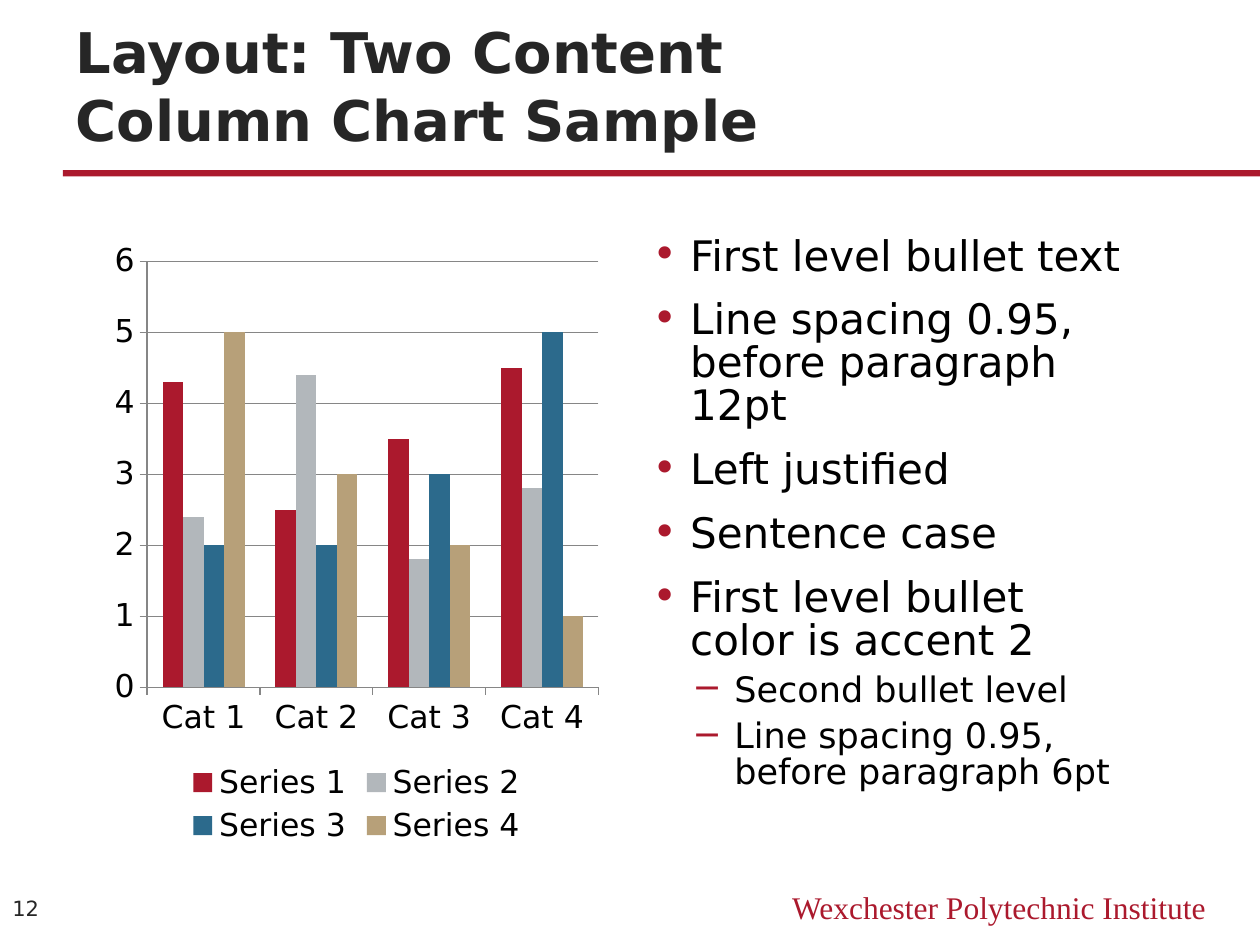
"""Build a two-content slide with a column chart and a bulleted list."""
from dataclasses import dataclass

import lxml.etree
import pptx
import pptx.chart.data
import pptx.dml.color
import pptx.enum.chart
import pptx.enum.shapes
import pptx.enum.text
import pptx.oxml.ns
import pptx.util
from pptx.util import Inches

COLORS = {
    "red": "AB192D",
    "gray": "B2B7BB",
    "blue": "2C6A8C",
    "tan": "B7A079",
    "dark": "262626",
    "black": "000000",
    "grid": "868686",
}
SANS = "DejaVu Sans"
SERIF = "Times New Roman"


@dataclass
class Series:
    name: str
    values: tuple[float, ...]
    color: str


@dataclass
class Level:
    char: str
    size: int
    indent: float
    before: int


@dataclass
class Bullet:
    text: str
    level: int = 0


CATEGORIES = ("Cat 1", "Cat 2", "Cat 3", "Cat 4")
SERIES = (
    Series("Series 1", (4.3, 2.5, 3.5, 4.5), "red"),
    Series("Series 2", (2.4, 4.4, 1.8, 2.8), "gray"),
    Series("Series 3", (2, 2, 3, 5), "blue"),
    Series("Series 4", (5, 3, 2, 1), "tan"),
)
LEVELS = (Level("•", 24, 0.3, 12), Level("─", 20, 0.65, 6))
BULLETS = (
    Bullet("First level bullet text"),
    Bullet("Line spacing 0.95, before paragraph 12pt"),
    Bullet("Left justified"),
    Bullet("Sentence case"),
    Bullet("First level bullet color is accent 2"),
    Bullet("Second bullet level", 1),
    Bullet("Line spacing 0.95, before paragraph 6pt", 1),
)


def rgb(name: str) -> pptx.dml.color.RGBColor:
    return pptx.dml.color.RGBColor.from_string(COLORS[name])


def style(font, size: int, color: str, name: str = SANS, bold: bool = False) -> None:
    font.size = pptx.util.Pt(size)
    font.name = name
    font.bold = bold
    font.color.rgb = rgb(color)


def place(sp, left: float, top: float, width: float, height: float) -> None:
    sp.left, sp.top = Inches(left), Inches(top)
    sp.width, sp.height = Inches(width), Inches(height)


def add_text(s, text: str, box: tuple[float, ...], size: int, color: str, name: str = SANS):
    sp = s.shapes.add_textbox(*map(Inches, box))
    tf = sp.text_frame
    tf.word_wrap = True
    tf.text = text
    style(tf.paragraphs[0].runs[0].font, size, color, name)
    return tf


def add_title(s, text: str) -> None:
    sp = s.shapes.title
    place(sp, 0.5, 0.38, 9, 0.88)
    tf = sp.text_frame
    tf.text = text
    tf.auto_size = pptx.enum.text.MSO_AUTO_SIZE.NONE
    tf.vertical_anchor = pptx.enum.text.MSO_ANCHOR.BOTTOM
    p = tf.paragraphs[0]
    p.alignment = pptx.enum.text.PP_ALIGN.LEFT
    for r in p.runs:
        style(r.font, 32, "dark", bold=True)


def add_rule(s) -> None:
    sp = s.shapes.add_shape(
        pptx.enum.shapes.MSO_SHAPE.RECTANGLE,
        Inches(0.5), Inches(1.35), Inches(9.5), Inches(0.05),
    )
    sp.shadow.inherit = False
    sp.fill.solid()
    sp.fill.fore_color.rgb = rgb("red")
    sp.line.fill.background()


def add_column_chart(s) -> None:
    data = pptx.chart.data.CategoryChartData()
    data.categories = CATEGORIES
    for item in SERIES:
        data.add_series(item.name, item.values)
    chart = s.shapes.add_chart(
        pptx.enum.chart.XL_CHART_TYPE.COLUMN_CLUSTERED,
        Inches(0.83), Inches(1.83), Inches(4), Inches(4.92), data,
    ).chart
    style(chart.font, 18, "black")
    chart.has_title = False
    chart.has_legend = True
    chart.legend.position = pptx.enum.chart.XL_LEGEND_POSITION.BOTTOM
    chart.legend.include_in_layout = False
    plot = chart.plots[0]
    plot.gap_width = 150
    plot.vary_by_categories = False
    for series, item in zip(plot.series, SERIES):
        series.format.fill.solid()
        series.format.fill.fore_color.rgb = rgb(item.color)
    axes = chart.category_axis, chart.value_axis
    for axis in axes:
        axis.major_tick_mark = pptx.enum.chart.XL_TICK_MARK.OUTSIDE
    chart.value_axis.has_major_gridlines = True
    for part in (*axes, chart.value_axis.major_gridlines):
        part.format.line.color.rgb = rgb("grid")


def set_bullet(p, level: Level) -> None:
    pPr = p._p.get_or_add_pPr()
    pPr.set("marL", str(Inches(level.indent)))
    pPr.set("indent", str(Inches(-0.3)))
    qn = pptx.oxml.ns.qn
    color = lxml.etree.SubElement(pPr, qn("a:buClr"))
    lxml.etree.SubElement(color, qn("a:srgbClr"), val=COLORS["red"])
    lxml.etree.SubElement(pPr, qn("a:buFont"), typeface=SANS)
    lxml.etree.SubElement(pPr, qn("a:buChar"), char=level.char)


def add_bullets(s) -> None:
    sp = s.shapes.add_textbox(Inches(5.08), Inches(1.83), Inches(4), Inches(4.92))
    tf = sp.text_frame
    tf.word_wrap = True
    for i, bullet in enumerate(BULLETS):
        level = LEVELS[bullet.level]
        p = tf.add_paragraph() if i else tf.paragraphs[0]
        p.text = bullet.text
        p.level = bullet.level
        p.line_spacing = 0.85
        p.space_before = pptx.util.Pt(level.before)
        set_bullet(p, level)
        style(p.runs[0].font, level.size, "black")


def main() -> None:
    prs = pptx.Presentation()
    prs.slide_width, prs.slide_height = Inches(10), Inches(7.5)
    s = prs.slides.add_slide(prs.slide_layouts[5])
    add_rule(s)
    tf = add_text(s, "Wexchester Polytechnic Institute", (6, 7, 3.67, 0.4), 18, "red", SERIF)
    tf.paragraphs[0].alignment = pptx.enum.text.PP_ALIGN.RIGHT
    add_title(s, "Layout: Two Content\vColumn Chart Sample")
    add_column_chart(s)
    add_bullets(s)
    tf = add_text(s, "12", (0, 6.99, 0.5, 0.43), 12, "dark")
    tf.vertical_anchor = pptx.enum.text.MSO_ANCHOR.MIDDLE
    prs.save("out.pptx")


if __name__ == "__main__":
    main()
